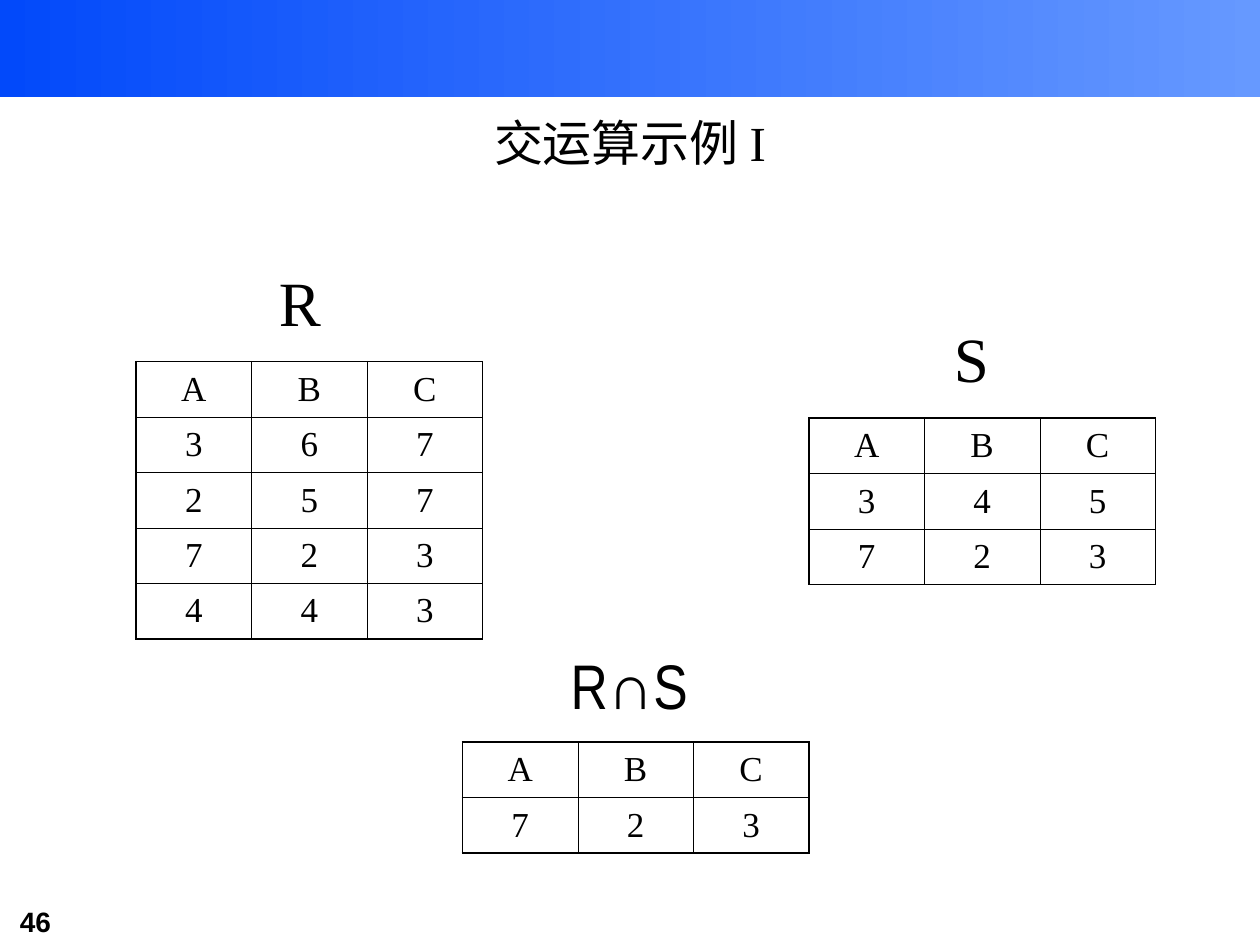
"""Build the slide showing an example of relational intersection."""
from dataclasses import dataclass

from lxml import etree
from pptx import Presentation
from pptx.dml.color import RGBColor
from pptx.enum import shapes, text
from pptx.oxml import ns
from pptx.util import Inches, Pt


@dataclass(frozen=True)
class Theme:
    ink: RGBColor = RGBColor(0x00, 0x00, 0x00)
    band_start: RGBColor = RGBColor(0x02, 0x49, 0xFA)
    band_end: RGBColor = RGBColor(0x66, 0x99, 0xFF)
    serif: str = "Times New Roman"
    sans: str = "Arial"
    narrow: str = "Arial Narrow"
    title_size: int = 28
    label_size: int = 36
    cell_size: int = 20
    number_size: int = 16
    outer_line: float = 1.08
    inner_line: float = 0.45


@dataclass(frozen=True)
class Box:
    left: float
    top: float
    width: float
    height: float

    def lengths(self) -> tuple:
        return tuple(map(Inches, (self.left, self.top, self.width, self.height)))


@dataclass(frozen=True)
class Relation:
    name: str
    font: str
    label: Box
    left: float
    top: float
    tuples: tuple[str, ...]


THEME = Theme()
ATTRIBUTES = "ABC"
RELATION_WIDTH = 2.75
ROW_HEIGHT = 0.44
RELATIONS = (
    Relation("R", THEME.serif, Box(1.92, 2.04, 0.92, 0.7), 1.08, 2.87,
             ("367", "257", "723", "443")),
    Relation("S", THEME.serif, Box(7.25, 2.49, 0.92, 0.7), 6.42, 3.32,
             ("345", "723")),
    Relation("R∩S", THEME.narrow, Box(4.33, 5.08, 1.33, 0.7), 3.67, 5.89,
             ("723",)),
)


def write(frame, wording: str, *, size: int, font: str = THEME.serif,
          bold: bool = False, align=text.PP_ALIGN.CENTER) -> None:
    """Put one formatted paragraph into a text frame."""
    frame.text = wording
    paragraph = frame.paragraphs[0]
    paragraph.alignment = align
    style = paragraph.runs[0].font
    style.size, style.name, style.bold = Pt(size), font, bold
    style.color.rgb = THEME.ink


def add_label(slide, wording: str, box: Box, **style) -> None:
    """Add a wrapping text box that grows with its text."""
    frame = slide.shapes.add_textbox(*box.lengths()).text_frame
    frame.word_wrap = True
    frame.auto_size = text.MSO_AUTO_SIZE.SHAPE_TO_FIT_TEXT
    write(frame, wording, **style)


def add_band(slide) -> None:
    """Add the gradient band along the top edge."""
    band = slide.shapes.add_shape(shapes.MSO_SHAPE.RECTANGLE,
                                  *Box(0, 0, 10, 0.77).lengths())
    band.shadow.inherit = False
    band.line.fill.background()
    band.fill.gradient()
    band.fill.gradient_angle = 0
    for stop, color in zip(band.fill.gradient_stops,
                           (THEME.band_start, THEME.band_end)):
        stop.color.rgb = color


def add_border(cell, side: str, width: float) -> None:
    """Draw one solid edge of a table cell."""
    edge = etree.SubElement(cell._tc.get_or_add_tcPr(), ns.qn(f"a:ln{side}"),
                            w=str(Pt(width)))
    solid = etree.SubElement(edge, ns.qn("a:solidFill"))
    etree.SubElement(solid, ns.qn("a:srgbClr"), val=str(THEME.ink))


def add_relation(slide, relation: Relation) -> None:
    """Add a relation as a ruled table with its name above."""
    rows = (ATTRIBUTES, *relation.tuples)
    last_row, last_column = len(rows) - 1, len(ATTRIBUTES) - 1
    box = Box(relation.left, relation.top, RELATION_WIDTH, ROW_HEIGHT * len(rows))
    table = slide.shapes.add_table(len(rows), len(ATTRIBUTES), *box.lengths()).table
    table.first_row = table.horz_banding = False
    for r, values in enumerate(rows):
        for c, value in enumerate(values):
            cell = table.cell(r, c)
            outer_sides = {"L": c == 0, "R": c == last_column,
                           "T": r == 0, "B": r == last_row}
            for side, outer in outer_sides.items():
                add_border(cell, side, THEME.outer_line if outer else THEME.inner_line)
            cell.fill.background()
            cell.vertical_anchor = text.MSO_ANCHOR.MIDDLE
            write(cell.text_frame, value, size=THEME.cell_size)
    add_label(slide, relation.name, relation.label,
              size=THEME.label_size, font=relation.font)


def main() -> None:
    """Assemble and save the slide."""
    deck = Presentation()
    deck.slide_width, deck.slide_height = Inches(10), Inches(7.5)
    slide = deck.slides.add_slide(deck.slide_layouts.get_by_name("Title Only"))
    add_band(slide)
    add_label(slide, "46", Box(0.06, 7.13, 1.22, 0.37), size=THEME.number_size,
              font=THEME.sans, bold=True, align=text.PP_ALIGN.LEFT)

    heading = slide.shapes.title
    heading.left, heading.top, heading.width, heading.height = Box(
        0.75, 0.67, 8.5, 0.92).lengths()
    heading.text_frame.auto_size = text.MSO_AUTO_SIZE.NONE
    heading.text_frame.vertical_anchor = text.MSO_ANCHOR.MIDDLE
    write(heading.text_frame, "交运算示例 I", size=THEME.title_size)

    for relation in RELATIONS:
        add_relation(slide, relation)
    deck.save("out.pptx")


if __name__ == "__main__":
    main()
